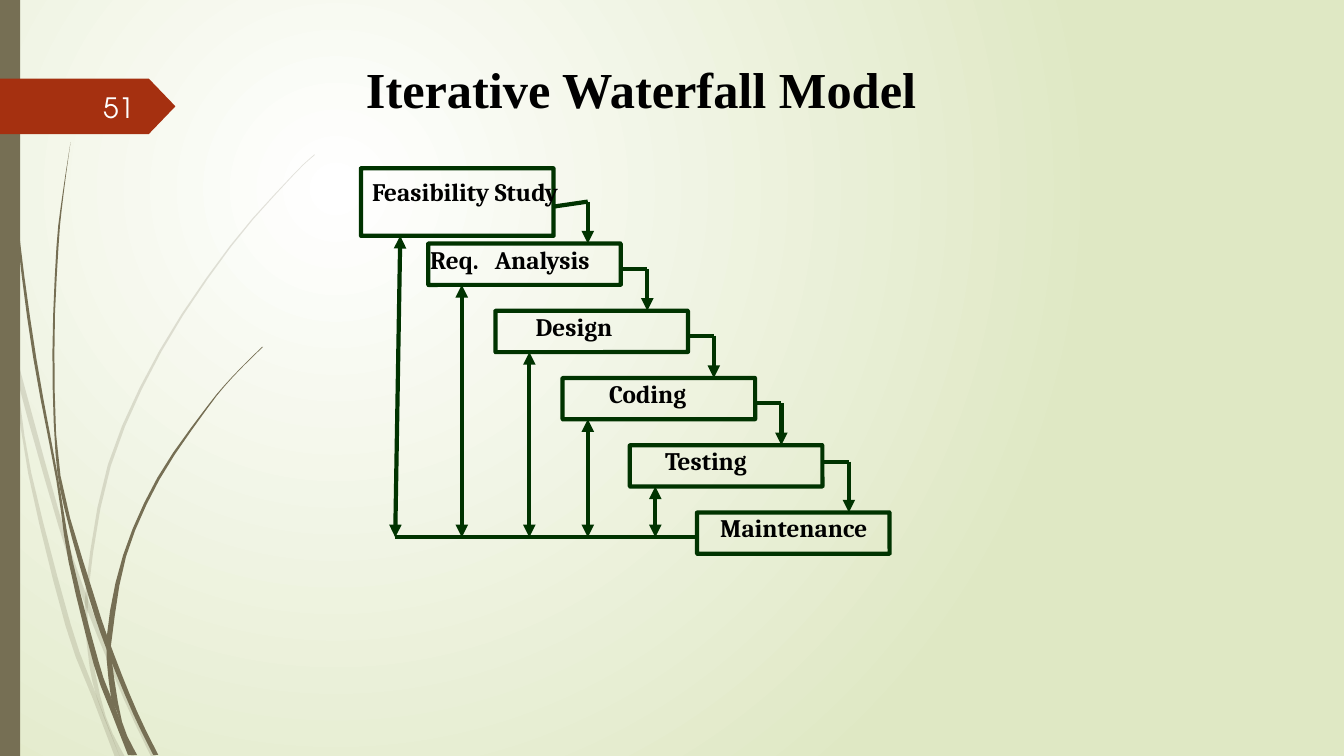
from dataclasses import dataclass

from lxml import etree
from pptx import Presentation
from pptx.dml.color import RGBColor
from pptx.enum.shapes import MSO_CONNECTOR, MSO_SHAPE
from pptx.enum.text import MSO_ANCHOR, MSO_AUTO_SIZE, PP_ALIGN
from pptx.oxml.ns import qn
from pptx.util import Inches, Pt

STRAIGHT = MSO_CONNECTOR.STRAIGHT
RECT, ROUND, TAG = MSO_SHAPE.RECTANGLE, MSO_SHAPE.ROUNDED_RECTANGLE, MSO_SHAPE.PENTAGON
TOP, MIDDLE = MSO_ANCHOR.TOP, MSO_ANCHOR.MIDDLE
LEFT, CENTER, RIGHT = PP_ALIGN.LEFT, PP_ALIGN.CENTER, PP_ALIGN.RIGHT
NO_FIT = MSO_AUTO_SIZE.NONE

Point = tuple[float, float]
Wisp = tuple[list[Point], list[Point]]


@dataclass(frozen=True)
class Theme:
    ink: str = "000000"
    green: str = "003300"
    olive: str = "766F54"
    rust: str = "A53010"
    pale: str = "FEFFFF"
    glow: str = "FFFFFF"
    edge: str = "DFE8C4"
    head: str = "Times New Roman"
    body: str = "Cambria"
    page: str = "TeX Gyre Adventor"
    head_size: float = 36
    body_size: float = 18
    page_size: float = 20
    stroke: float = 3


@dataclass(frozen=True)
class Stage:
    label: str
    indent: float        # text inset within the box
    foot: float = 0      # x of the feedback arrow on the base line
    drop: float = 0      # x of the arrow down to the next stage
    out: float = 0       # y where the flow turns down


THEME = Theme()
PITCH = 2 / 3
BOX_X, BOX_Y, BOX_W, BOX_H = 3.58, 1.75, 1.91, 0.41
BASE = 5.33
STAGES = [
    Stage("Feasibility Study", 0.09, 3.92, 5.83, 2),
    Stage("Req.\tAnalysis", 0, 4.58, 6.42, 2.67),
    Stage("Design", 0.38, 5.25, 7.08, 3.33),
    Stage("Coding", 0.44, 5.83, 7.75, 4),
    Stage("Testing", 0.33, 6.5, 8.42, 4.58),
    Stage("Maintenance", 0.21),
]

# Each wisp runs down one smooth edge and back up the other
FAINT: list[Wisp] = [
    ([(0, 2.99), (0.11, 3.5), (0.28, 4.7), (0.65, 6.21), (0.92, 6.93), (1.14, 7.51)],
     [(1.19, 7.51), (0.93, 6.83), (0.7, 6.19), (0.31, 4.69), (0.17, 3.76),
      (0.09, 3.22), (0, 2.82)]),
    ([(0.14, 3.45), (0.17, 3.76), (0.58, 5.22), (0.84, 5.99), (1.23, 6.94), (1.5, 7.51)],
     [(1.55, 7.51), (1.27, 6.92), (0.92, 6.07), (0.62, 5.2), (0.14, 3.45)]),
    ([(3.12, 1.54), (2.9, 1.75), (2.29, 2.45), (1.6, 3.49), (1.1, 4.62), (0.88, 5.84),
      (0.91, 6.46), (1.05, 7.11), (1.24, 7.51)],
     [(1.19, 7.51), (0.96, 6.92), (0.87, 6.46), (0.85, 5.84), (1.07, 4.61),
      (1.58, 3.48), (2.28, 2.44), (2.89, 1.75), (3.12, 1.53)]),
]
SOLID: list[Wisp] = [
    ([(0.03, 0), (0.07, 1.1), (0.17, 2.33), (0.33, 3.55), (0.56, 4.77), (0.68, 5.57),
      (0.93, 6.59), (1.11, 7.08), (1.27, 7.49)],
     [(1.33, 7.49), (1.1, 6.91), (0.98, 6.57), (0.72, 5.56), (0.57, 4.7),
      (0.36, 3.55), (0.19, 2.32), (0.08, 1.09), (0.04, 0)]),
    ([(0.7, 1.41), (0.62, 1.93), (0.56, 2.45), (0.52, 3.49), (0.55, 4.49), (0.64, 5.05),
      (0.88, 5.92), (1.06, 6.45), (1.32, 7.08), (1.52, 7.49)],
     [(1.57, 7.49), (1.36, 7.06), (1.13, 6.49), (0.93, 5.9), (0.6, 4.72),
      (0.54, 3.49), (0.58, 2.45), (0.63, 1.93), (0.7, 1.41)]),
    ([(2.61, 3.44), (2.31, 3.74), (2.05, 4.06), (1.58, 4.76), (1.25, 5.52), (1.11, 6.33),
      (1.11, 6.56), (1.21, 7.16), (1.36, 7.49)],
     [(1.3, 7.49), (1.16, 7.06), (1.1, 6.91), (1.06, 6.31), (1.22, 5.51),
      (1.56, 4.74), (2.04, 4.05), (2.31, 3.73), (2.6, 3.44)]),
]


def paint(shape, fill: str = "", line: str = "") -> None:
    shape.shadow.inherit = False
    for part, tint in ((shape.fill, fill), (shape.line.fill, line)):
        if tint:
            part.solid()
            part.fore_color.rgb = RGBColor.from_string(tint)
        else:
            part.background()
    if line:
        shape.line.width = Pt(THEME.stroke)


def block(shapes, kind, at: tuple, adjust: float | None = None, **tints: str) -> None:
    shape = shapes.add_shape(kind, *map(Inches, at))
    if adjust is not None:
        shape.adjustments[0] = adjust
    paint(shape, **tints)


def write(shape, text: str, *, font: str, size: float, tint: str = THEME.ink,
          bold: bool = False, align=LEFT, anchor=TOP, inset: float = 0.02,
          before: float = 0, spacing: float = 1, indent: float = 0, tab: float = 0) -> None:
    frame = shape.text_frame
    frame.word_wrap, frame.auto_size, frame.vertical_anchor = True, NO_FIT, anchor
    frame.margin_left = frame.margin_right = Inches(inset)
    frame.margin_top = frame.margin_bottom = Inches(0.05)
    para = frame.paragraphs[0]
    para.alignment, para.space_before, para.line_spacing = align, Pt(before), spacing
    props = para._p.get_or_add_pPr()
    props.set("marL", str(Inches(indent)))
    if tab:
        stops = etree.SubElement(props, qn("a:tabLst"))
        etree.SubElement(stops, qn("a:tab"), pos=str(Inches(tab)), algn="l")
    run = para.add_run()
    run.text = text
    run.font.name, run.font.size, run.font.bold = font, Pt(size), bold
    run.font.color.rgb = RGBColor.from_string(tint)


def link(shapes, start: Point, end: Point, *ends: str) -> None:
    line = shapes.add_connector(STRAIGHT, *map(Inches, (*start, *end)))
    line.line.color.rgb = RGBColor.from_string(THEME.green)
    line.line.width = Pt(THEME.stroke)
    for tip in ends:
        etree.SubElement(line.line._get_or_add_ln(), qn(f"a:{tip}"), type="triangle")
    etree.SubElement(line._element.spPr, qn("a:effectLst"))


def smooth(points: list[Point], steps: int = 3) -> list[Point]:
    """Catmull-Rom curve through the points."""
    pad = [points[0], *points, points[-1]]
    curve = [points[0]]
    for a, b, c, d in zip(pad, pad[1:], pad[2:], pad[3:]):
        for t in (n / steps for n in range(1, steps + 1)):
            curve.append(tuple(
                (2 * q + (r - p) * t + (2 * p - 5 * q + 4 * r - s) * t**2
                 + (3 * q - p - 3 * r + s) * t**3) / 2
                for p, q, r, s in zip(a, b, c, d)))
    return curve


def plant(shapes, wisps: list[Wisp], alpha: int = 100) -> None:
    for wisp in wisps:
        dots = [tuple(map(Inches, dot)) for edge in wisp for dot in smooth(edge)]
        outline = shapes.build_freeform(*dots[0])
        outline.add_line_segments(dots[1:], close=True)
        shape = outline.convert_to_shape()
        paint(shape, fill=THEME.olive)
        if alpha < 100:
            tint = shape._element.spPr.find(".//" + qn("a:srgbClr"))
            etree.SubElement(tint, qn("a:alpha"), val=str(alpha * 1000))


def shade(slide) -> None:
    fill = slide.background.fill
    fill.gradient()
    for stop, tint, place in zip(fill.gradient_stops, (THEME.glow, THEME.edge), (0, 1)):
        stop.color.rgb, stop.position = RGBColor.from_string(tint), place
    linear = slide._element.find(".//" + qn("a:lin"))
    radial = etree.SubElement(linear.getparent(), qn("a:path"), path="circle")
    etree.SubElement(radial, qn("a:fillToRect"), l="50000", t="50000", r="100000", b="100000")
    linear.getparent().remove(linear)


def chart(shapes) -> None:
    for i, stage in enumerate(STAGES):
        x, y = BOX_X + PITCH * i, BOX_Y + PITCH * i
        rise, height = (0.08, 0.67) if i == 0 else (0, BOX_H)
        block(shapes, ROUND, (x, y - rise, BOX_W, height), 0.004, line=THEME.green)
        label = shapes.add_textbox(*map(Inches, (x, y, 2.09, height)))
        write(label, stage.label, font=THEME.body, size=THEME.body_size, bold=True,
              before=10.4, spacing=0.85, indent=stage.indent,
              tab=0.64 if "\t" in stage.label else 0)
        if stage.drop:
            lean = 0.05 if i == 0 else 0
            turn = (stage.drop, stage.out)
            link(shapes, (x + BOX_W, stage.out + lean), turn)
            link(shapes, turn, (stage.drop, y + PITCH), "tailEnd")
            link(shapes, (stage.foot, BASE), (stage.foot + lean, y - rise + height),
                 "headEnd", "tailEnd")
    link(shapes, (BOX_X + PITCH * 5, BASE), (STAGES[0].foot, BASE))


def main() -> None:
    deck = Presentation()
    deck.slide_width, deck.slide_height = Inches(13.33), Inches(7.5)
    slide = deck.slides.add_slide(deck.slide_layouts[5])
    shapes = slide.shapes

    # Backdrop
    shade(slide)
    plant(shapes, FAINT, alpha=20)
    plant(shapes, SOLID)
    block(shapes, RECT, (0, 0, 0.2, 7.5), fill=THEME.olive)

    # Page tag
    block(shapes, TAG, (0, 0.78, 1.74, 0.55), 0.48, fill=THEME.rust)
    page = shapes.add_textbox(*map(Inches, (0.58, 0.86, 0.85, 0.4)))
    write(page, "51", font=THEME.page, size=THEME.page_size, tint=THEME.pale,
          align=RIGHT, anchor=MIDDLE, inset=0.1)

    # Title
    title = shapes.title
    title.left, title.top, title.width, title.height = map(Inches, (2.11, 0.25, 8.5, 1.25))
    write(title, "Iterative Waterfall Model", font=THEME.head, size=THEME.head_size,
          bold=True, align=CENTER, anchor=MIDDLE, before=10)

    # Waterfall
    chart(shapes)
    deck.save("out.pptx")


if __name__ == "__main__":
    main()
